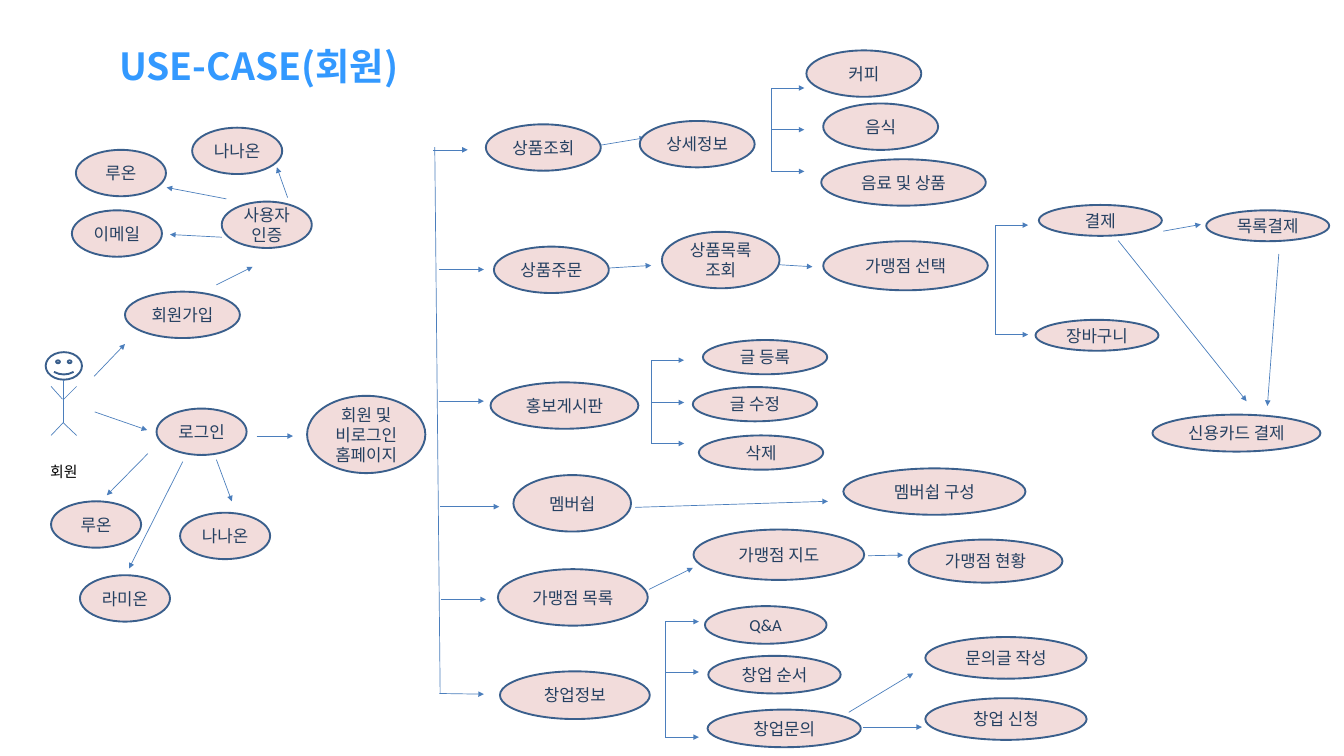
from lxml import etree
from pptx import Presentation
from pptx import util as u
from pptx.dml.color import RGBColor
from pptx.enum import shapes, text
from pptx.oxml.ns import qn

PX = u.Inches(0.01)
OUTLINE, ARROW = "3A5F8C", "4B7EBC"

# label, left, top, width, height
USE_CASES = [
    # sign-up and log-in
    ("회원가입", 186, 434, 171, 69),
    ("사용자인증", 330, 300, 134, 69),
    ("이메일", 107, 313, 134, 69),
    ("루온", 113, 223, 134, 69),
    ("나나온", 286, 190, 134, 69),
    ("로그인", 233, 608, 134, 69),
    ("루온", 76, 746, 134, 69),
    ("나나온", 268, 763, 134, 69),
    ("라미온", 119, 856, 134, 69),
    ("회원 및 비로그인 홈페이지", 457, 589, 176, 115),
    # product search
    ("상품조회", 723, 185, 171, 69),
    ("상세정보", 952, 180, 171, 69),
    ("커피", 1200, 75, 171, 69),
    ("음식", 1225, 154, 171, 69),
    ("음료 및 상품", 1222, 237, 245, 69),
    # product order
    ("상품주문", 735, 367, 171, 69),
    ("상품목록 조회", 985, 345, 175, 84),
    ("가맹점 선택", 1225, 359, 245, 73),
    ("결제", 1546, 305, 183, 46),
    ("목록결제", 1795, 313, 183, 46),
    ("장바구니", 1541, 476, 183, 46),
    ("신용카드 결제", 1715, 617, 250, 55),
    # promotion board
    ("홍보게시판", 730, 569, 220, 69),
    ("글 등록", 1046, 506, 185, 51),
    ("글 수정", 1031, 576, 185, 51),
    ("삭제", 1040, 648, 185, 51),
    # membership and branches
    ("멤버쉽", 764, 707, 175, 84),
    ("멤버쉽 구성", 1255, 697, 271, 69),
    ("가맹점 목록", 741, 847, 223, 84),
    ("가맹점 지도", 1032, 788, 254, 75),
    ("가맹점 현황", 1352, 803, 229, 64),
    # start-up information
    ("창업정보", 744, 999, 223, 71),
    ("Q&A", 1049, 902, 181, 56),
    ("창업 순서", 1054, 976, 197, 56),
    ("창업문의", 1053, 1056, 228, 56),
    ("문의글 작성", 1377, 948, 240, 62),
    ("창업 신청", 1377, 1039, 240, 62),
]

# from x, from y, to x, to y
ARROWS = [
    # member to sign-up and log-in
    (140, 560, 186, 512), (141, 613, 219, 640), (322, 424, 376, 397),
    (330, 353, 253, 349), (337, 296, 248, 279), (428, 294, 412, 249),
    (220, 675, 159, 737), (322, 684, 345, 746), (272, 687, 192, 846),
    (382, 649, 436, 649),
    # home page trunk to main functions
    (644, 223, 696, 223), (653, 401, 720, 401), (653, 597, 720, 597),
    (655, 754, 743, 754), (656, 892, 723, 892), (654, 1032, 720, 1033),
    # main functions to details
    (894, 216, 960, 205), (904, 399, 969, 395), (1160, 394, 1209, 397),
    (1731, 344, 1787, 334), (1903, 378, 1886, 604), (1664, 358, 1855, 597),
    (945, 755, 1232, 746), (966, 877, 1031, 845), (1292, 827, 1344, 826),
    (1263, 1060, 1359, 1002), (1284, 1082, 1372, 1082),
]

# trunk x, arrow tip x, arrow heights
BRANCHES = [
    (1148, 1197, (131, 193, 255)),
    (1481, 1530, (335, 498)),
    (969, 1018, (536, 599, 660)),
    (990, 1040, (925, 1000, 1097)),
]

BODY_LINES = [
    (95, 565, 95, 629), (76, 575, 93, 594), (95, 594, 114, 575),
    (94, 629, 76, 648), (94, 629, 114, 648),
]


def colour(value):
    return RGBColor.from_string(value)


def scaled(*lengths):
    return [length * PX for length in lengths]


def write(shape, words, color, **formats):
    frame = shape.text_frame
    frame.word_wrap = True
    frame.text = words
    paragraph = frame.paragraphs[0]
    paragraph.alignment = text.PP_ALIGN.CENTER
    font = paragraph.runs[0].font
    for name, value in formats.items():
        setattr(font, name, value)
    font.color.rgb = colour(color)
    return frame


def add_outlined(parent, kind, box):
    shape = parent.add_shape(kind, *scaled(*box))
    shape.shadow.inherit = False
    shape.line.color.rgb = colour(OUTLINE)
    shape.line.width = u.Pt(2)
    return shape


def add_use_case(parent, label, *box):
    shape = add_outlined(parent, shapes.MSO_SHAPE.OVAL, box)
    shape.fill.solid()
    shape.fill.fore_color.rgb = colour("F2DCDB")
    frame = write(shape, label, "254061", size=u.Pt(18), name="Calibri")
    frame.vertical_anchor = text.MSO_ANCHOR.MIDDLE


def add_line(parent, *ends, arrow=False):
    line = parent.add_connector(shapes.MSO_CONNECTOR.STRAIGHT, *scaled(*ends))
    line.line.color.rgb = colour(ARROW)
    line.line.width = u.Pt(0.75)
    properties = line._element.spPr
    if arrow:
        etree.SubElement(properties.find(qn("a:ln")), qn("a:tailEnd"), type="triangle")
    etree.SubElement(properties, qn("a:effectLst"))


def add_branch(parent, trunk, tip, heights):
    """Draw a vertical trunk with one arrow to the right at each height."""
    add_line(parent, trunk, heights[-1], trunk, heights[0])
    for height in heights:
        add_line(parent, trunk, height, tip, height, arrow=True)


def add_member(parent):
    figure = parent.add_group_shape().shapes
    face = add_outlined(figure, shapes.MSO_SHAPE.SMILEY_FACE, (68, 524, 54, 41))
    face.fill.background()
    for ends in BODY_LINES:
        add_line(figure, *ends)
    label = parent.add_textbox(*scaled(22, 684, 146, 37))
    frame = write(label, "회원", "000000", size=u.Pt(16), name="Arial")
    frame.auto_size = text.MSO_AUTO_SIZE.SHAPE_TO_FIT_TEXT


def format_title(title):
    title.left, title.top, title.width, title.height = scaled(3, 59, 764, 98)
    face = "Noto Sans CJK KR"
    frame = write(title, "USE-CASE(회원)", "3399FF", size=u.Pt(40), bold=True, name=face)
    frame.auto_size = text.MSO_AUTO_SIZE.NONE
    frame.vertical_anchor = text.MSO_ANCHOR.TOP
    properties = frame.paragraphs[0].runs[0].font._element
    etree.SubElement(properties, qn("a:ea"), typeface=face)


def main():
    presentation = Presentation()
    presentation.slide_width, presentation.slide_height = scaled(2000, 1125)
    slide = presentation.slides.add_slide(presentation.slide_layouts[5])
    format_title(slide.shapes.title)
    add_member(slide.shapes)
    add_line(slide.shapes, 655, 1032, 647, 219)
    for ends in ARROWS:
        add_line(slide.shapes, *ends, arrow=True)
    for branch in BRANCHES:
        add_branch(slide.shapes, *branch)
    for use_case in USE_CASES:
        add_use_case(slide.shapes, *use_case)
    presentation.save("out.pptx")


if __name__ == "__main__":
    main()
